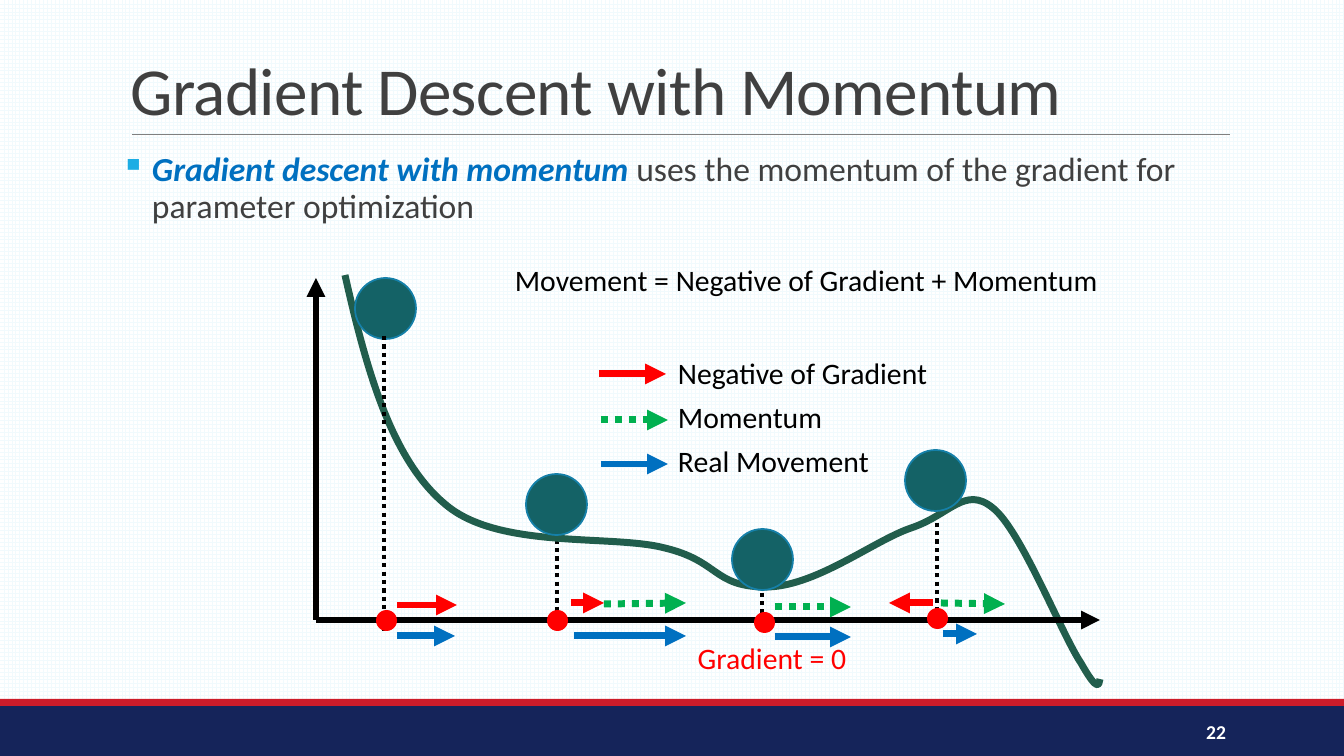
from lxml import etree
from pptx import Presentation
from pptx import util as u
from pptx.dml.color import RGBColor
from pptx.enum import dml, shapes, text
from pptx.oxml.ns import qn

PX = 914400 / 100.8
COLORS = {
    "navy": "15245A", "stripe": "CC1C2A", "rule": "808080", "grid": "F1FAFD",
    "white": "FFFFFF", "black": "000000", "gray": "404040", "bullet": "1CADE4",
    "red": "FF0000", "green": "00B050", "blue": "0070C0",
    "curve": "215D4C", "ball": "146266", "ball_edge": "1580A9",
}
COLORS = {name: RGBColor.from_string(value) for name, value in COLORS.items()}

deck = Presentation()
deck.slide_width, deck.slide_height = round(1344 * PX), round(756 * PX)
page = deck.slides.add_slide(deck.slide_layouts[6])
backdrop = page.background.fill
backdrop.patterned()
backdrop.pattern = dml.MSO_PATTERN.LARGE_GRID
backdrop.fore_color.rgb = COLORS["grid"]
backdrop.back_color.rgb = COLORS["white"]


def add_line(start, end, color, width, dotted=False, arrow=True):
    ends = [round(value * PX) for value in (*start, *end)]
    line = page.shapes.add_connector(shapes.MSO_CONNECTOR.STRAIGHT, *ends)
    line.line.color.rgb = COLORS[color]
    line.line.width = u.Pt(width)
    outline = line.line._get_or_add_ln()
    if dotted:
        etree.SubElement(outline, qn("a:prstDash")).set("val", "sysDot")
    if arrow:
        etree.SubElement(outline, qn("a:tailEnd")).set("type", "triangle")
    etree.SubElement(line._element.spPr, qn("a:effectLst"))


def add_text(area, words, size, color, align="LEFT", anchor="TOP"):
    box = page.shapes.add_textbox(*[round(value * PX) for value in area])
    frame = box.text_frame
    frame.word_wrap = True
    frame.vertical_anchor = text.MSO_ANCHOR[anchor]
    frame.text = words
    para = frame.paragraphs[0]
    para.alignment = text.PP_ALIGN[align]
    span = para.runs[0]
    span.font.name = "Calibri"
    span.font.size = u.Pt(size)
    span.font.color.rgb = COLORS[color]
    return frame, para, span


footer = [((0, 706, 1344, 50), "navy"), ((0, 699, 1344, 7), "stripe")]
balls = [((x, y, 61, 61), "ball") for x, y in [(355, 278), (526, 474), (732, 529), (905, 450)]]
dots = [((x, y, 21, 21), "red") for x, y in [(376, 610), (547, 610), (754, 612), (927, 608)]]

for area, color in footer:
    band = page.shapes.add_shape(shapes.MSO_SHAPE.RECTANGLE, *[round(value * PX) for value in area])
    band.shadow.inherit = False
    band.fill.solid()
    band.fill.fore_color.rgb = COLORS[color]
    band.line.fill.background()

add_line((132, 134), (1230, 134), "rule", 0.5, arrow=False)
frame, para, span = add_text((121, 31, 1109, 103), "Gradient Descent with Momentum", 48, "gray", anchor="BOTTOM")
para.line_spacing = 0.85
span._r.get_or_add_rPr().set("spc", "-50")

frame, para, span = add_text((121, 148, 1109, 499), "Gradient descent with momentum ", 24, "blue")
frame.margin_left = frame.margin_right = 0
span.font.bold = span.font.italic = True
para.line_spacing = 0.9
para.space_after = u.Pt(2)
layout = para._p.get_or_add_pPr()
layout.set("marL", str(round(31 * PX)))
layout.set("indent", str(round(-31 * PX)))
bullet_color = etree.SubElement(layout, qn("a:buClr"))
etree.SubElement(bullet_color, qn("a:srgbClr")).set("val", str(COLORS["bullet"]))
etree.SubElement(layout, qn("a:buChar")).set("char", "▪")
rest = para.add_run()
rest.text = "uses the momentum of the gradient for parameter optimization"
rest.font.name = "Calibri"
rest.font.size = u.Pt(24)
rest.font.color.rgb = COLORS["gray"]

frame, para, span = add_text((1092, 712, 144, 40), "22", 14, "white", "RIGHT", "MIDDLE")
span.font.bold = True

for x, top, bottom in [(937, 489, 617), (557, 489, 618), (762, 559, 618)]:
    add_line((x, top), (x, bottom), "black", 3, dotted=True, arrow=False)

curve_points = [
    (366, 368), (391, 459), (445, 504),
    (498, 550), (612, 534), (665, 548),
    (719, 561), (713, 586), (764, 587),
    (814, 588), (873, 541), (911, 528),
    (950, 515), (965, 485), (993, 508),
    (1021, 530), (1062, 635), (1081, 663),
    (1098, 693), (1099, 685), (1100, 679),
]
builder = page.shapes.build_freeform(345, 275, scale=PX)
builder.add_line_segments(curve_points, close=False)
curve = builder.convert_to_shape()
curve.shadow.inherit = False
curve.fill.background()
curve.line.color.rgb = COLORS["curve"]
curve.line.width = u.Pt(5)
segments = list(curve._element.iter(qn("a:lnTo")))
for first in range(0, len(segments), 3):
    bezier = etree.Element(qn("a:cubicBezTo"))
    segments[first].addprevious(bezier)
    for segment in segments[first:first + 3]:
        bezier.append(segment[0])
        segment.getparent().remove(segment)

for axis_end in [(1100, 620), (316, 278)]:
    add_line((316, 620), axis_end, "black", 4.5)

for area, color in balls + dots:
    if area == dots[0][0]:
        add_line((384, 336), (384, 631), "black", 3, dotted=True, arrow=False)
    disc = page.shapes.add_shape(shapes.MSO_SHAPE.OVAL, *[round(value * PX) for value in area])
    disc.shadow.inherit = False
    disc.fill.solid()
    disc.fill.fore_color.rgb = COLORS[color]
    if color == "ball":
        disc.line.color.rgb = COLORS["ball_edge"]
        disc.line.width = u.Pt(1.25)
    else:
        disc.line.fill.background()

arrows = [
    ((397, 605), (457, 605), "red"),
    ((397, 636), (455, 636), "blue"),
    ((571, 603), (604, 603), "red"),
    ((604, 604), (686, 603), "green"),
    ((574, 636), (686, 636), "blue"),
    ((775, 607), (851, 607), "green"),
    ((775, 637), (851, 637), "blue"),
    ((933, 603), (889, 603), "red"),
    ((941, 603), (1005, 604), "green"),
    ((943, 634), (977, 634), "blue"),
    ((599, 374), (666, 374), "red"),
    ((601, 420), (668, 420), "green"),
    ((601, 464), (668, 464), "blue"),
]
for start, end, color in arrows:
    add_line(start, end, color, 5, dotted=color == "green")

for row, label in enumerate(["Negative of Gradient", "Momentum", "Real Movement"]):
    add_text((668, 350 + 44 * row, 318, 46), label, 21.2, "black")
add_text((505, 257, 619, 46), "Movement = Negative of Gradient + Momentum", 21.2, "black")
add_text((679, 635, 186, 46), "Gradient = 0", 21.2, "red", "CENTER")

deck.save("out.pptx")
